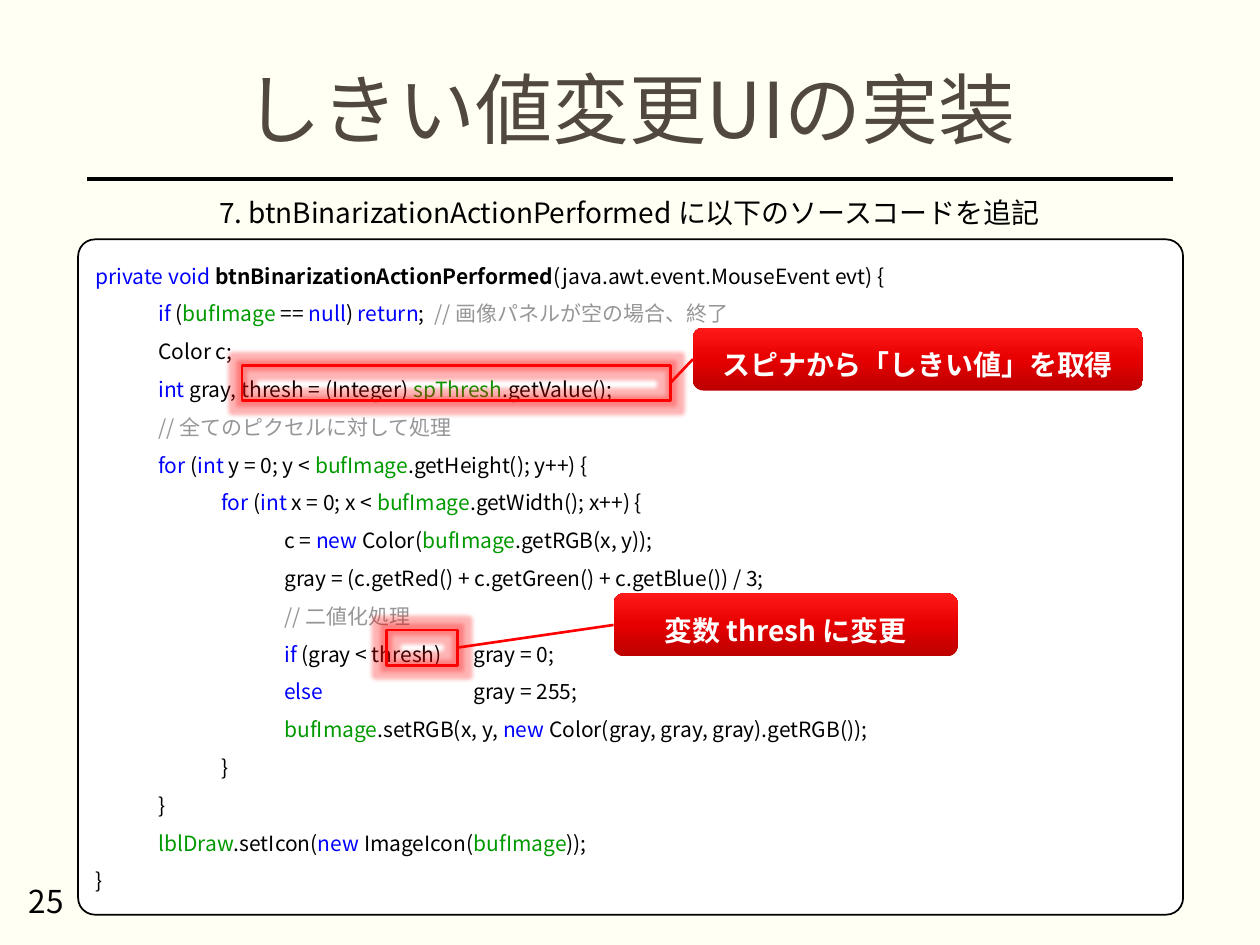
from copy import deepcopy
from dataclasses import dataclass
from itertools import groupby

from lxml import etree
from pptx import Presentation, util as u
from pptx.dml.color import RGBColor
from pptx.enum import shapes, text
from pptx.oxml.ns import qn

COLUMNS, ROWS = 100, 75
KEYWORDS = set("private void if null return int for new else".split())
FIELDS = {"bufImage", "spThresh", "lblDraw"}
METHOD = "btnBinarizationActionPerformed"

CODE = """\
private void btnBinarizationActionPerformed(java.awt.event.MouseEvent evt) {
>if (bufImage == null) return;  // 画像パネルが空の場合、終了
>Color c;
>int gray, thresh = (Integer) spThresh.getValue();
>// 全てのピクセルに対して処理
>for (int y = 0; y < bufImage.getHeight(); y++) {
>\tfor (int x = 0; x < bufImage.getWidth(); x++) {
>\t\tc = new Color(bufImage.getRGB(x, y));
>\t\tgray = (c.getRed() + c.getGreen() + c.getBlue()) / 3;
>\t\t// 二値化処理
>\t\tif (gray < thresh)\tgray = 0;
>\t\telse \t\t\tgray = 255;
>\t\tbufImage.setRGB(x, y, new Color(gray, gray, gray).getRGB());
>\t}
>}
\tlblDraw.setIcon(new ImageIcon(bufImage));
}"""

CALLOUTS = [
    ("変数 thresh に変更", (48.7, 47.1, 27.3, 5), (30.7, 50, 5.6, 2.8)),
    ("スピナから「しきい値」を取得", (55, 26, 35.7, 5), (19.2, 29, 34, 2.8)),
]


@dataclass(frozen=True)
class Theme:
    font: str = "Noto Sans CJK JP"
    background: str = "FFFFF3"
    title: str = "514840"
    ink: str = "000000"
    paper: str = "FFFFFF"
    accent: str = "FF0000"
    keyword: str = "0000FF"
    field: str = "009900"
    comment: str = "969696"
    gradient: tuple = ("BC0000", "E60000", "FF1919")
    title_size: int = 44
    number_size: int = 18
    label_size: int = 16
    code_size: int = 12


def word_kind(word):
    if word in KEYWORDS:
        return "keyword"
    if word in FIELDS:
        return "field"
    return "method" if word == METHOD else "ink"


def highlight(line):
    code, marker, comment = line.partition("//")
    words = ["".join(group) for _, group in groupby(code, str.isalnum)]
    pieces = [(kind, "".join(group)) for kind, group in groupby(words, word_kind)]
    return pieces + ([("comment", marker + comment)] if marker else [])


def apply_format(target, values):
    for name, value in values.items():
        setattr(target, name, value)


class SlideBuilder:
    def __init__(self, presentation, theme):
        self.theme = theme
        self.cell_width = presentation.slide_width / COLUMNS
        self.cell_height = presentation.slide_height / ROWS
        self.slide = presentation.slides.add_slide(presentation.slide_layouts[5])
        fill = self.slide.background.fill
        fill.solid()
        fill.fore_color.rgb = RGBColor.from_string(theme.background)

    def place(self, left, top, width, height):
        return (round(left * self.cell_width), round(top * self.cell_height),
                round(width * self.cell_width), round(height * self.cell_height))

    def add_text(self, paragraph, content, size, color, bold=False):
        run = paragraph.add_run()
        run.text = content
        apply_format(run.font, {"name": self.theme.font, "size": u.Pt(size), "bold": bold})
        run.font.color.rgb = RGBColor.from_string(color)
        east_asian = etree.SubElement(run.font._element, qn("a:ea"))
        east_asian.set("typeface", self.theme.font)

    def outline(self, line, color, width):
        line.color.rgb = RGBColor.from_string(color)
        line.width = u.Pt(width)

    def title(self, content, box):
        shape = self.slide.shapes.title
        apply_format(shape, dict(zip(("left", "top", "width", "height"), self.place(*box))))
        apply_format(shape.text_frame, {"vertical_anchor": text.MSO_ANCHOR.MIDDLE, "word_wrap": True})
        paragraph = shape.text_frame.paragraphs[0]
        apply_format(paragraph, {"alignment": text.PP_ALIGN.CENTER, "line_spacing": 0.9})
        self.add_text(paragraph, content, self.theme.title_size, self.theme.title)

    def label(self, content, box, size, alignment, auto_size):
        shape = self.slide.shapes.add_textbox(*self.place(*box))
        apply_format(shape.text_frame, {"word_wrap": True, "auto_size": auto_size})
        paragraph = shape.text_frame.paragraphs[0]
        paragraph.alignment = alignment
        self.add_text(paragraph, content, size, self.theme.ink)

    def shape(self, kind, box):
        shape = self.slide.shapes.add_shape(kind, *self.place(*box))
        shape.shadow.inherit = False
        return shape

    def line(self, color, width, start=(0, 0), end=(0, 0)):
        left, top, right, bottom = self.place(*start, *end)
        connector = self.slide.shapes.add_connector(
            shapes.MSO_CONNECTOR.STRAIGHT, left, top, right, bottom)
        self.outline(connector.line, color, width)
        etree.SubElement(connector._element.spPr, qn("a:effectLst"))
        return connector

    def code(self, source, box):
        panel = self.shape(shapes.MSO_SHAPE.ROUNDED_RECTANGLE, box)
        panel.adjustments[0] = 0.025
        panel.fill.solid()
        panel.fill.fore_color.rgb = RGBColor.from_string(self.theme.paper)
        self.outline(panel.line, self.theme.ink, 1)
        frame = panel.text_frame
        frame.vertical_anchor = text.MSO_ANCHOR.TOP
        colors = {"method": self.theme.ink}
        for index, line in enumerate(source.split("\n")):
            paragraph = frame.add_paragraph() if index else frame.paragraphs[0]
            level = int(line.startswith(">"))
            apply_format(paragraph, {"alignment": text.PP_ALIGN.LEFT, "line_spacing": 1.5,
                                     "level": level})
            properties = paragraph._p.get_or_add_pPr()
            tab = u.Inches(0.5)
            for name, value in {"marL": level * tab, "indent": 0, "defTabSz": tab}.items():
                properties.set(name, str(value))
            for kind, content in highlight(line.removeprefix(">")):
                color = colors.get(kind) or getattr(self.theme, kind)
                self.add_text(paragraph, content, self.theme.code_size, color, kind == "method")

    def marker(self, box):
        frame = self.shape(shapes.MSO_SHAPE.RECTANGLE, box)
        frame.fill.background()
        self.outline(frame.line, self.theme.accent, 1.5)
        effects = frame._element.spPr.find(qn("a:effectLst"))
        glow = etree.SubElement(effects, qn("a:glow"), rad=str(u.Pt(5)))
        color = etree.SubElement(glow, qn("a:srgbClr"), val=self.theme.accent)
        etree.SubElement(color, qn("a:alpha"), val="30000")
        return frame

    def callout(self, content, box, target):
        marker = self.marker(target)
        bubble = self.shape(shapes.MSO_SHAPE.ROUNDED_RECTANGLE, box)
        bubble.line.fill.background()
        bubble.fill.gradient()
        bubble.fill.gradient_angle = 90
        stops = bubble._element.spPr.find(qn("a:gradFill")).find(qn("a:gsLst"))
        stops.append(deepcopy(stops[-1]))
        for index, (stop, color) in enumerate(zip(bubble.fill.gradient_stops, self.theme.gradient)):
            stop.position = index / 2
            stop.color.rgb = RGBColor.from_string(color)
        apply_format(bubble.text_frame, {
            "margin_left": 0, "margin_top": u.Inches(0.08), "margin_right": 0,
            "margin_bottom": 0, "vertical_anchor": text.MSO_ANCHOR.MIDDLE})
        paragraph = bubble.text_frame.paragraphs[0]
        paragraph.alignment = text.PP_ALIGN.CENTER
        self.add_text(paragraph, content, self.theme.label_size, self.theme.paper, True)
        connector = self.line(self.theme.accent, 1.5)
        connector.begin_connect(bubble, 1)
        connector.end_connect(marker, 3)


def main():
    presentation = Presentation()
    apply_format(presentation, {"slide_width": u.Inches(10), "slide_height": u.Inches(7.5)})
    theme = Theme()
    builder = SlideBuilder(presentation, theme)
    builder.line(theme.ink, 2, (93.1, 14.2), (6.9, 14.2))
    builder.title("しきい値変更UIの実装", (6.9, 4.7, 86.2, 8.6))
    builder.code(CODE, (6.2, 19, 87.7, 53.6))
    builder.label(f"7. {METHOD} に以下のソースコードを追記", (6, 15, 87.9, 3.7), theme.label_size,
                  text.PP_ALIGN.CENTER, text.MSO_AUTO_SIZE.SHAPE_TO_FIT_TEXT)
    builder.label("25", (1.3, 69.5, 22.5, 4), theme.number_size,
                  text.PP_ALIGN.LEFT, text.MSO_AUTO_SIZE.NONE)
    for callout in CALLOUTS:
        builder.callout(*callout)
    presentation.save("out.pptx")


if __name__ == "__main__":
    main()
